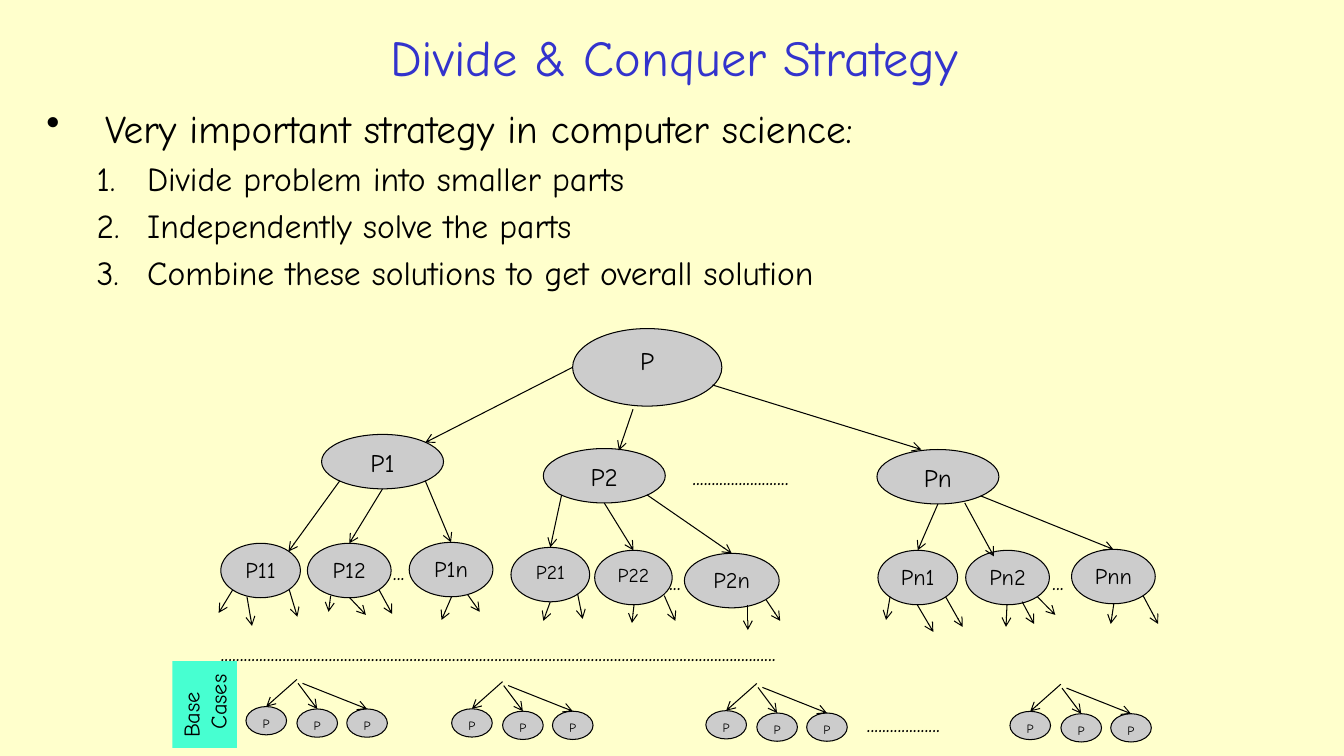
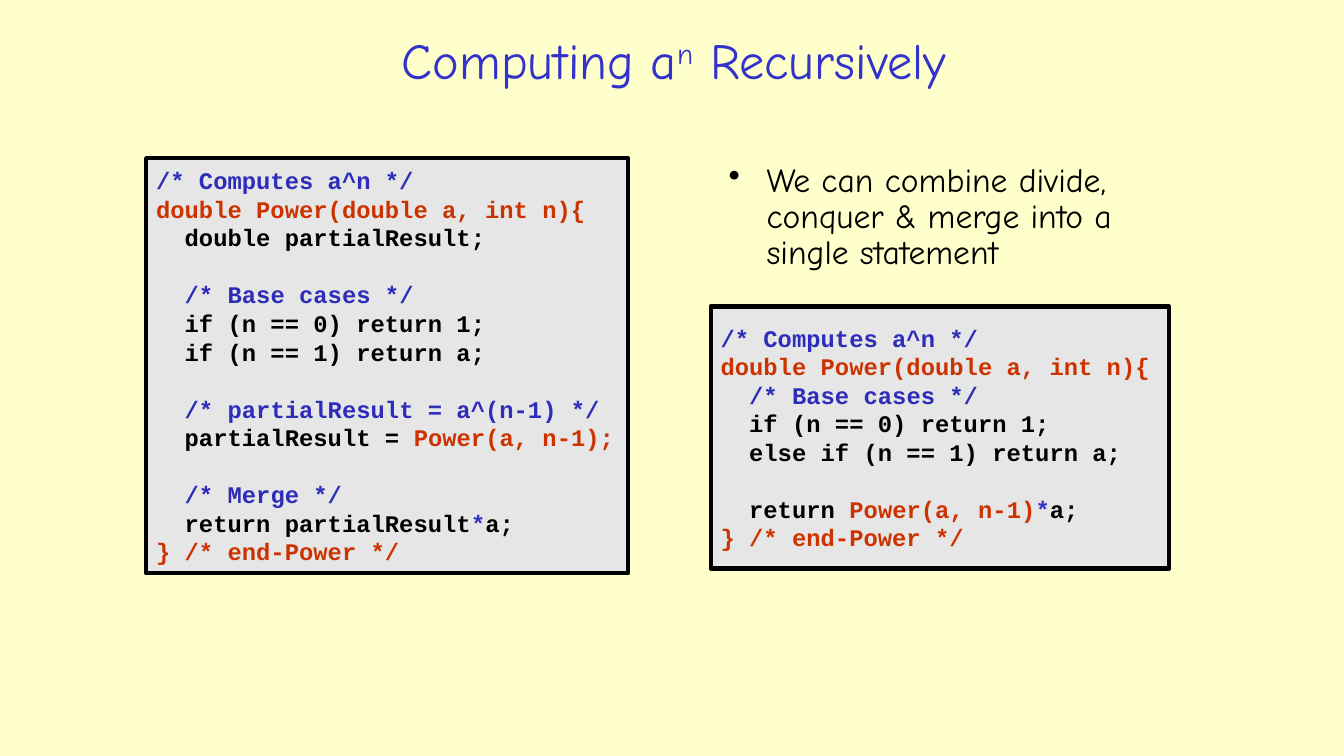
import pptx
import pptx.util
import pptx.dml.color
import pptx.enum.shapes
import pptx.enum.text
import pptx.oxml
import pptx.oxml.ns
from lxml import etree

Pt = pptx.util.Pt
SHAPE = pptx.enum.shapes.MSO_SHAPE
ALIGN = pptx.enum.text.PP_ALIGN
ANCHOR = pptx.enum.text.MSO_ANCHOR
qn = pptx.oxml.ns.qn

# Shared style
HAND, MONO = "Comic Neue", "Courier New"
CREAM, TITLE_BLUE, BLACK = "FFFFCC", "3333CC", "000000"
NODE_GREY, CODE_GREY, AQUA = "CCCCCC", "E6E6E6", "47FFD1"
COMMENT, ACCENT = "2D2DB9", "CC3300"
CODE_LINE = 20.4
DISC, NUMBER = ("a:buChar", "char", "•"), ("a:buAutoNum", "type", "arabicPeriod")


def color(value):
    return pptx.dml.color.RGBColor.from_string(value)


def rim(shape, across, down):
    """Point in points at a fraction of a shape's width and height."""
    return ((shape.left + shape.width * across) / Pt(1),
            (shape.top + shape.height * down) / Pt(1))


class Slides:
    def __init__(self):
        self.deck = pptx.Presentation()
        self.deck.slide_width, self.deck.slide_height = Pt(960), Pt(540)
        self.page = None

    def new_page(self):
        self.page = self.deck.slides.add_slide(self.deck.slide_layouts[6])
        self.page.background.fill.solid()
        self.page.background.fill.fore_color.rgb = color(CREAM)

    def add_spans(self, para, parts, size, font=HAND, bold=False):
        """Fill a paragraph with (text, colour) parts."""
        for text, hue in parts:
            span = para.add_run()
            span.text = text
            span.font.name, span.font.size = font, Pt(size)
            span.font.bold = bold
            span.font.color.rgb = color(hue)

    def indent(self, para, left, hanging=0, bullet=None):
        props = para._p.get_or_add_pPr()
        props.set("marL", str(Pt(left)))
        props.set("indent", str(-Pt(hanging)))
        if bullet:
            tag, key, value = bullet
            etree.SubElement(props, qn(tag)).set(key, value)

    def text(self, x, y, w, h, parts, size=18):
        box = self.page.shapes.add_textbox(Pt(x), Pt(y), Pt(w), Pt(h))
        box.text_frame.word_wrap = True
        self.add_spans(box.text_frame.paragraphs[0], parts, size)
        return box

    def title(self, y, h, *texts):
        box = self.text(138, y, 687, h, [(text, TITLE_BLUE) for text in texts], 36)
        box.text_frame.vertical_anchor = ANCHOR.MIDDLE
        para = box.text_frame.paragraphs[0]
        para.alignment = ALIGN.CENTER
        return para

    def bullets(self, x, y, w, h, items, spacing=None):
        """Items are (text, size, left, hanging, bullet)."""
        box = self.page.shapes.add_textbox(Pt(x), Pt(y), Pt(w), Pt(h))
        box.text_frame.word_wrap = True
        for index, (text, size, left, hanging, bullet) in enumerate(items):
            para = box.text_frame.add_paragraph() if index else box.text_frame.paragraphs[0]
            para.level = 1 if bullet is NUMBER else 0
            self.indent(para, left, hanging, bullet)
            if index:
                para.space_before = Pt(size * 0.2)
            if spacing:
                para.line_spacing = spacing
            self.add_spans(para, [(text, BLACK)], size)

    def shape(self, kind, x, y, w, h, fill, line=0):
        shape = self.page.shapes.add_shape(kind, Pt(x), Pt(y), Pt(w), Pt(h))
        shape.shadow.inherit = False
        shape.fill.solid()
        shape.fill.fore_color.rgb = color(fill)
        if line:
            shape.line.color.rgb = color(BLACK)
            shape.line.width = Pt(line)
        else:
            shape.line.fill.background()
        shape.text_frame.word_wrap = True
        shape.text_frame.vertical_anchor = ANCHOR.TOP
        return shape

    def node(self, label, x, y, w, h=38.9, size=16):
        shape = self.shape(SHAPE.OVAL, x, y, w, h, NODE_GREY, 0.75)
        shape.text_frame.margin_left = shape.text_frame.margin_right = 0
        para = shape.text_frame.paragraphs[0]
        para.alignment = ALIGN.CENTER
        self.add_spans(para, [(label, BLACK)], size)
        return shape

    def arrow(self, start, end):
        """Arrow to a point, or to the top of a node."""
        point = end if isinstance(end, tuple) else rim(end, 0.5, 0)
        line = self.page.shapes.add_connector(
            pptx.enum.shapes.MSO_CONNECTOR.STRAIGHT, *[Pt(v) for v in start + point])
        if point is not end:
            line.end_connect(end, 0)
        line.line.color.rgb = color(BLACK)
        line.line.width = Pt(0.75)
        props = line._element.spPr
        etree.SubElement(props.find(qn("a:ln")), qn("a:tailEnd")).set("type", "arrow")
        etree.SubElement(props, qn("a:effectLst"))

    def dots(self, x, y, w, count=3):
        self.text(x, y, w, 29, [("." * count, BLACK)])

    def code(self, x, y, w, h, blocks):
        """Blocks of code lines, set apart by one line of space."""
        frame = self.shape(SHAPE.RECTANGLE, x, y, w, h, CODE_GREY, 3).text_frame
        frame.vertical_anchor = ANCHOR.MIDDLE
        para = None
        for block in blocks:
            for index, parts in enumerate(block):
                gap = para is not None and index == 0
                para = frame.add_paragraph() if para is not None else frame.paragraphs[0]
                para.alignment = ALIGN.LEFT
                para.line_spacing = Pt(CODE_LINE)
                if gap:
                    para.space_before = Pt(CODE_LINE)
                self.add_spans(para, parts, 17, MONO, True)


def divide_and_conquer(slides):
    slides.new_page()
    slides.title(13, 55, "Divide & Conquer Strategy")
    steps = ["Divide problem into smaller parts", "Independently solve the parts",
             "Combine these solutions to get overall solution"]
    slides.bullets(26, 70.6, 907, 148, [
        ("Very important strategy in computer science:", 28, 42, 42, DISC),
        *[(step, 24, 72, 36, NUMBER) for step in steps]])

    # Upper levels of the tree
    root = slides.node("P", 409, 234.7, 106.6, 55.4, 18)
    first, second, last = [slides.node(label, x, y, 87.1, size=18) for label, x, y in
                           [("P1", 229.7, 310.3), ("P2", 388.1, 320.4), ("Pn", 626.4, 321.1)]]
    slides.arrow(rim(root, 0, 0.5), rim(first, 0.85, 0.15))
    slides.arrow((452.2, 292.3), (442.1, 321.8))
    slides.arrow((509, 275), (658.1, 321.1))

    # Third level: label, left, top, width, text size
    leaves = [slides.node(label, x, y, w, size=size) for label, x, y, w, size in [
        ("P11", 157.7, 388.1, 56.9, 16), ("P12", 219.6, 388.1, 59.8, 16),
        ("P1n", 292.3, 387.4, 59.8, 16), ("P21", 365, 391, 56.2, 14),
        ("P22", 424.8, 393.1, 55.4, 14), ("P2n", 488.9, 395.3, 67.7, 16),
        ("Pn1", 627.1, 393.1, 56.9, 16), ("Pn2", 689.8, 393.1, 59.8, 16),
        ("Pnn", 765.4, 392.4, 59.8, 16)]]
    ends = list(leaves)
    ends[0] = rim(leaves[0], 0.85, 0.15)
    ends[7] = (709.9, 397.4)
    outer = [(0.15, 0.85), (0.5, 1), (0.85, 0.85)]
    shifted = [(0.5, 1), (0.72, 0.98), (0.85, 0.85)]
    for row, (parent, starts) in enumerate([(first, outer), (second, outer), (last, shifted)]):
        for start, end in zip(starts, ends[row * 3:row * 3 + 3]):
            slides.arrow(rim(parent, *start), end)

    # Short arrows below the third level
    for x1, y1, x2, y2 in [
            (166.3, 421.2, 156.2, 437.8), (176.4, 426.2, 180, 447.1),
            (206.6, 421.2, 212.4, 440.6), (236.2, 425.5, 234.7, 437),
            (249.8, 427, 261.4, 439.2), (270.7, 421.2, 280.1, 438.5),
            (322.6, 426.2, 315.4, 442.8), (334.1, 424.8, 342.7, 437),
            (393.1, 429.8, 388.1, 443.5), (412.6, 424.1, 416.2, 442.1),
            (452.9, 432, 451.4, 445), (474.5, 425.5, 482.4, 443.5),
            (534.2, 432, 534.2, 450), (547.2, 428.4, 557.3, 443.5),
            (635.8, 426.2, 632.9, 442.8), (655.2, 432, 666.7, 451.4),
            (675.4, 426.2, 687.6, 447.8), (719.3, 432, 718.6, 447.8),
            (730.1, 429.8, 738.7, 445.7), (740.9, 426.2, 753.8, 439.2),
            (795.6, 431.3, 793.4, 445.7), (816.5, 425.5, 827.3, 445.7)]:
        slides.arrow((x1, y1), (x2, y2))

    # Base cases: four groups of three small nodes
    for x, y in [(175.7, 504.7), (322.6, 506.3), (504.2, 507.6), (721.4, 508.1)]:
        for dx, dy, start_x, start_y in [(0, 0, 36.4, -19.4), (36.4, 1.7, 37.2, -16.6),
                                         (72, 1.7, 40.4, -16.6)]:
            base = slides.node("P", x + dx, y + dy, 29, 20.2, 9)
            slides.arrow((x + start_x, y + start_y), base)

    # Label of the base cases
    label = slides.shape(SHAPE.RECTANGLE, 115.2, 480.2, 61.9, 46.1, AQUA)
    label.rotation = 270
    for text, left in [("Base", 0), ("Cases", 6)]:
        frame = label.text_frame
        para = frame.add_paragraph() if left else frame.paragraphs[0]
        para.alignment = ALIGN.LEFT
        slides.indent(para, left)
        slides.add_spans(para, [(text, BLACK)], 16)

    # Dots for omitted parts
    for x, y in [(273.6, 393.1), (470.9, 400.3), (744.5, 400.3)]:
        slides.dots(x, y, 33)
    slides.dots(487.4, 325.4, 129, 25)
    slides.dots(612, 501.8, 107, 19)
    slides.dots(150.5, 450.7, 667, 144)


def power_function(slides):
    slides.new_page()
    heading = slides.title(17.3, 50.4, "Computing a", "n", " Recursively")
    heading.runs[1]._r.get_or_add_rPr().set("baseline", "30000")

    # Lines found in both versions
    opening = [[("/* Computes a^n */", COMMENT)],
               [("double Power(double a, int n){", ACCENT)]]
    base_comment = [("  ", BLACK), ("/* Base cases */", COMMENT)]
    zero_case = [("  if (n == 0) return 1;", BLACK)]
    times_a = [("*", TITLE_BLUE), ("a;", BLACK)]
    closing = [("} /* end-Power */", ACCENT)]

    slides.code(104.4, 113, 344.2, 296.6, [
        opening + [[("  double partialResult;", BLACK)]],
        [base_comment, zero_case, [("  if (n == 1) return a;", BLACK)]],
        [[("  ", BLACK), ("/* partialResult = a^(n-1) */", COMMENT)],
         [("  partialResult = ", BLACK), ("Power(a, n-1);", ACCENT)]],
        [[("  ", BLACK), ("/* Merge */", COMMENT)],
         [("  return partialResult", BLACK)] + times_a, closing]])
    slides.code(507.6, 218.9, 327.6, 187.2, [
        opening + [base_comment, zero_case, [("  else if (n == 1) return a;", BLACK)]],
        [[("  return ", BLACK), ("Power(a, n-1)", ACCENT)] + times_a, closing]])
    slides.bullets(513.4, 113, 322, 94, [
        ("We can combine divide, conquer & merge into a single statement",
         24, 27, 27, DISC)], 0.9)


def main():
    slides = Slides()
    divide_and_conquer(slides)
    power_function(slides)
    slides.deck.save("out.pptx")


if __name__ == "__main__":
    main()
